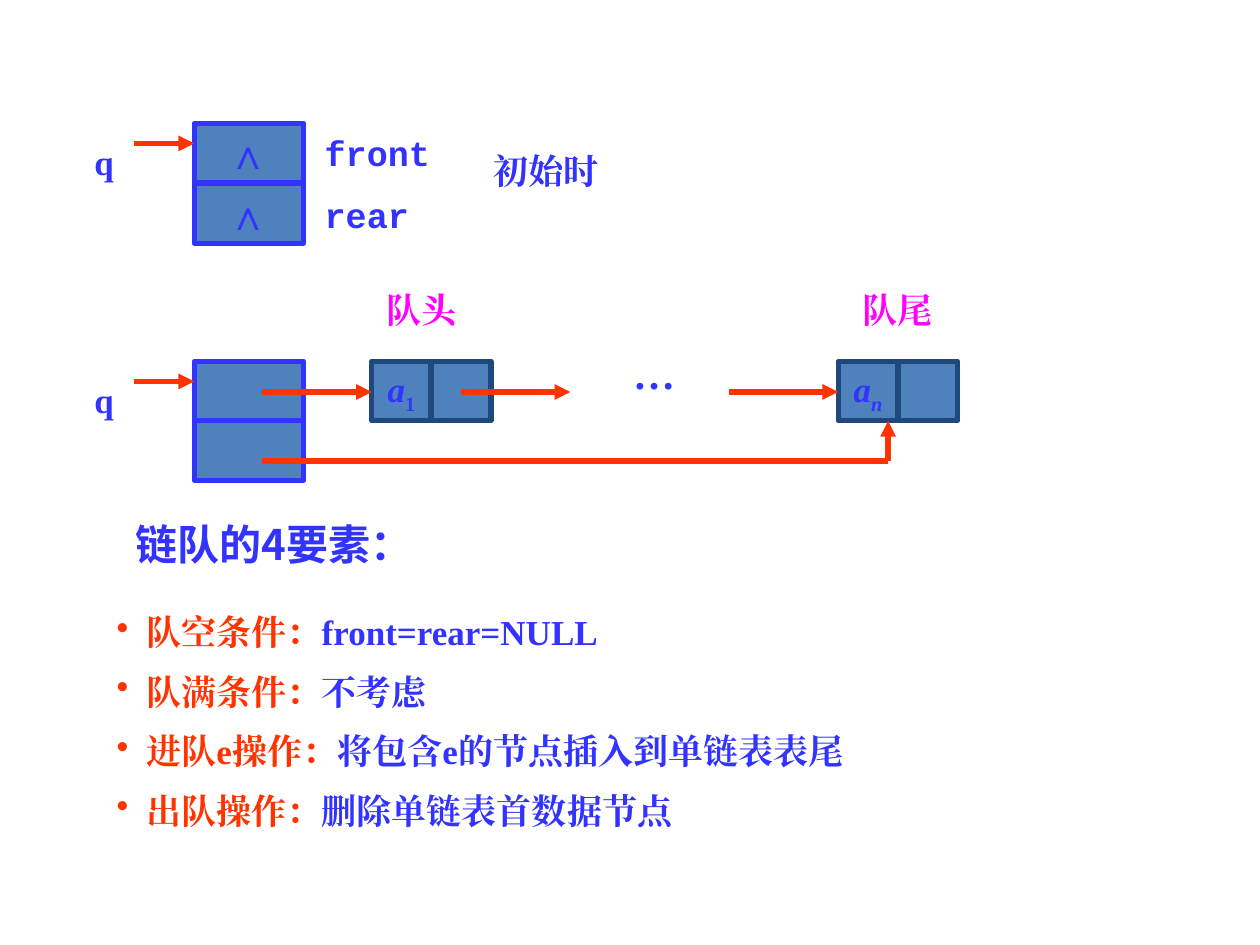
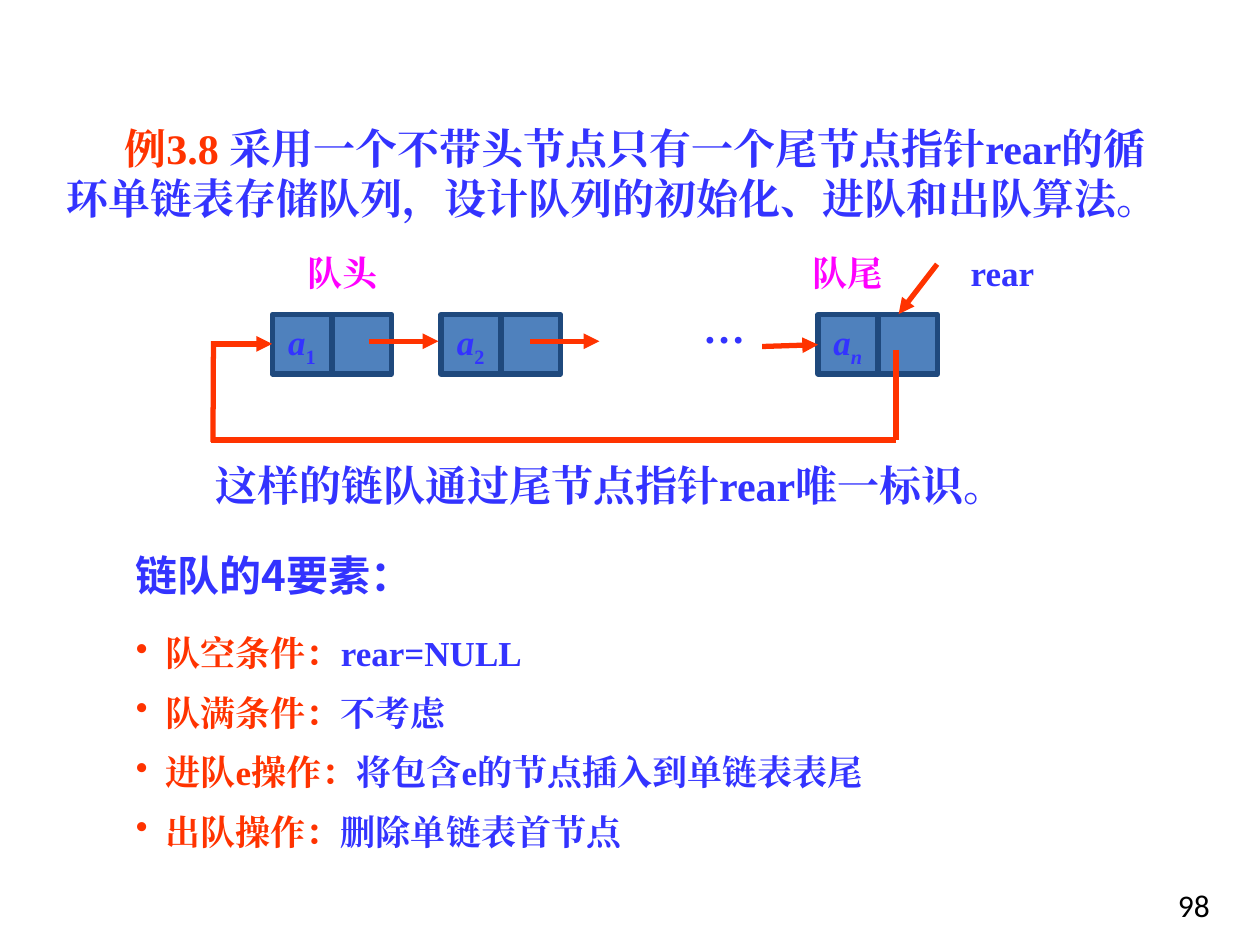
from lxml.etree import SubElement
from pptx import Presentation
from pptx.dml.color import RGBColor
from pptx.enum.shapes import MSO_CONNECTOR as CONN, MSO_SHAPE as SHAPE
from pptx.enum.text import MSO_ANCHOR as ANCHOR, PP_ALIGN as ALIGN
from pptx.oxml.ns import qn
from pptx.util import Pt

color = RGBColor.from_string
BLUE, RED, PINK, NAVY, FILL = "3333FF", "FF3300", "FF00FF", "1F497D", "4F81BD"
SERIF, MONO, SANS = "Times New Roman", "Courier New", "Noto Sans CJK SC"
CELL = 34.2


def write(tf, paras, align=ALIGN.LEFT, before=10, rgb=BLUE, **fmt):
    for i, runs in enumerate(paras):
        p = tf.paragraphs[0] if i == 0 else tf.add_paragraph()
        p.alignment = align
        if i:
            p.space_before = Pt(before)
        for text, extra in runs:
            values = {"name": SERIF, "size": Pt(20), "bold": True, "rgb": rgb, **fmt, **extra}
            r = p.add_run()
            r.text = text
            r.font.color.rgb = color(values.pop("rgb"))
            sub = values.pop("sub", False)
            for key, value in values.items():
                setattr(r.font, key, value)
            rPr = r._r.get_or_add_rPr()
            SubElement(rPr, qn("a:ea")).set("typeface", values["name"])
            if sub:
                rPr.set("baseline", "-25000")


def add_text(s, box, paras, **fmt):
    sp = s.shapes.add_textbox(*map(Pt, box))
    sp.text_frame.word_wrap = True
    write(sp.text_frame, paras, **fmt)
    return sp.text_frame


prs = Presentation()
prs.slide_width, prs.slide_height = Pt(720), Pt(540)
s1, s2 = [prs.slides.add_slide(prs.slide_layouts[6]) for _ in range(2)]

a1, a2, an = [
    [("a", {"italic": True}), (index, {"italic": index == "n", "sub": True})]
    for index in ("1", "2", "n")
]
null = [("∧", {"size": Pt(24)})]
boxes = [
    (s1, 111, 70.5, 62.5, BLUE, null),
    (s1, 111, 105, 62.5, BLUE, null),
    (s1, 111, 206.5, 62.5, BLUE, []),
    (s1, 111, 240.5, 62.5, BLUE, []),
]
for s, x, y, label in [
    (s1, 212.4, 206.5, a1),
    (s1, 479, 206.5, an),
    (s2, 155.6, 179.7, a1),
    (s2, 252, 179.7, a2),
    (s2, 467.5, 179.7, an),
]:
    boxes += [(s, x, y, 34, NAVY, label), (s, x + CELL, y, 34, NAVY, [])]

for s, x, y, w, edge, label in boxes:
    sp = s.shapes.add_shape(SHAPE.RECTANGLE, Pt(x), Pt(y), Pt(w), Pt(34))
    sp.shadow.inherit = False
    sp.fill.solid()
    sp.fill.fore_color.rgb = color(FILL)
    sp.line.color.rgb = color(edge)
    sp.line.width = Pt(3)
    tf = sp.text_frame
    tf.word_wrap = False
    tf.vertical_anchor = ANCHOR.MIDDLE
    write(tf, [label], align=ALIGN.CENTER)

for s, x1, y1, x2, y2, arrow in [
    (s1, 76.5, 82, 111, 82, True),
    (s1, 76.5, 218, 111, 218, True),
    (s1, 150, 224, 212.5, 224, True),
    (s1, 263.5, 224, 326, 224, True),
    (s1, 416.5, 224, 479, 224, True),
    (s1, 150, 263.5, 507.5, 263.5, False),
    (s1, 507.5, 263.5, 507.5, 240.5, True),
    (s2, 211, 195, 250.5, 195, True),
    (s2, 303, 195, 342.5, 195, True),
    (s2, 435.5, 198, 467.5, 197, True),
    (s2, 512, 200, 512, 251.5, False),
    (s2, 120.5, 251.5, 512, 251.5, False),
    (s2, 122, 195, 121.7, 252.5, False),
    (s2, 121.5, 196.5, 155.5, 196.5, True),
    (s2, 535.5, 151, 513.5, 179.5, True),
]:
    cx = s.shapes.add_connector(CONN.STRAIGHT, Pt(x1), Pt(y1), Pt(x2), Pt(y2))
    cx.line.color.rgb = color(RED)
    cx.line.width = Pt(3)
    spPr = cx._element.spPr
    if arrow:
        SubElement(spPr.find(qn("a:ln")), qn("a:tailEnd")).set("type", "triangle")
    SubElement(spPr, qn("a:effectLst"))

for s, x, y, w, text, size, rgb in [
    (s1, 42.5, 76.5, 34, "q", 20, BLUE),
    (s1, 42.5, 212.5, 34, "q", 20, BLUE),
    (s1, 342.5, 195, 62.5, "…", 24, BLUE),
    (s1, 212.5, 161.5, 57, "队头", 20, PINK),
    (s1, 484.5, 161.5, 57, "队尾", 20, PINK),
    (s2, 541.5, 140, 62.5, "rear", 20, BLUE),
    (s2, 382.5, 168.5, 62.5, "…", 24, BLUE),
    (s2, 161.5, 140, 68, "队头", 20, PINK),
    (s2, 450.5, 140, 68, "队尾", 20, PINK),
    (s2, 93.5, 259, 510.5, "这样的链队通过尾节点指针rear唯一标识。", 24, BLUE),
]:
    add_text(s, (x, y, w, size * 1.5), [[(text, {})]], align=ALIGN.CENTER, size=Pt(size), rgb=rgb)

add_text(s1, (178.5, 71.5, 108, 67), [[("front", {})], [("rear", {})]], name=MONO, before=11.5)
add_text(s1, (275, 82, 193, 31), [[("初始时", {})]])

tf = add_text(s2, (31, 66.5, 641, 65), [[
    ("例3.8 ", {"rgb": RED}),
    ("采用一个不带头节点只有一个尾节点指针rear的循环单链表存储队列，设计队列的初始化、进队和出队算法。", {}),
]], size=Pt(24))
tf.paragraphs[0]._p.get_or_add_pPr().set("indent", str(Pt(33)))

add_text(s2, (666, 502.5, 54, 37.5), [[("98", {})]],
         name="Calibri", size=Pt(18), bold=False, rgb="000000")

for s, heading_y, x, y, empty, dequeue in [
    (s1, 292.5, 59.5, 345.5, "front=rear=NULL", "删除单链表首数据节点"),
    (s2, 310.5, 70.5, 357.5, "rear=NULL", "删除单链表首节点"),
]:
    add_text(s, (70.5, heading_y, 425.5, 36), [[("链队的4要素：", {})]], name=SANS, size=Pt(24))
    elements = [
        ("队空条件：", empty),
        ("队满条件：", "不考虑"),
        ("进队e操作：", "将包含e的节点插入到单链表表尾"),
        ("出队操作：", dequeue),
    ]
    tf = add_text(s, (x, y, 578, 139),
                  [[(term, {"rgb": RED}), (meaning, {})] for term, meaning in elements])
    for p in tf.paragraphs:
        pPr = p._p.get_or_add_pPr()
        pPr.set("marL", str(Pt(17)))
        pPr.set("indent", str(-Pt(17)))
        SubElement(pPr, qn("a:buChar")).set("char", "•")

prs.save("out.pptx")
